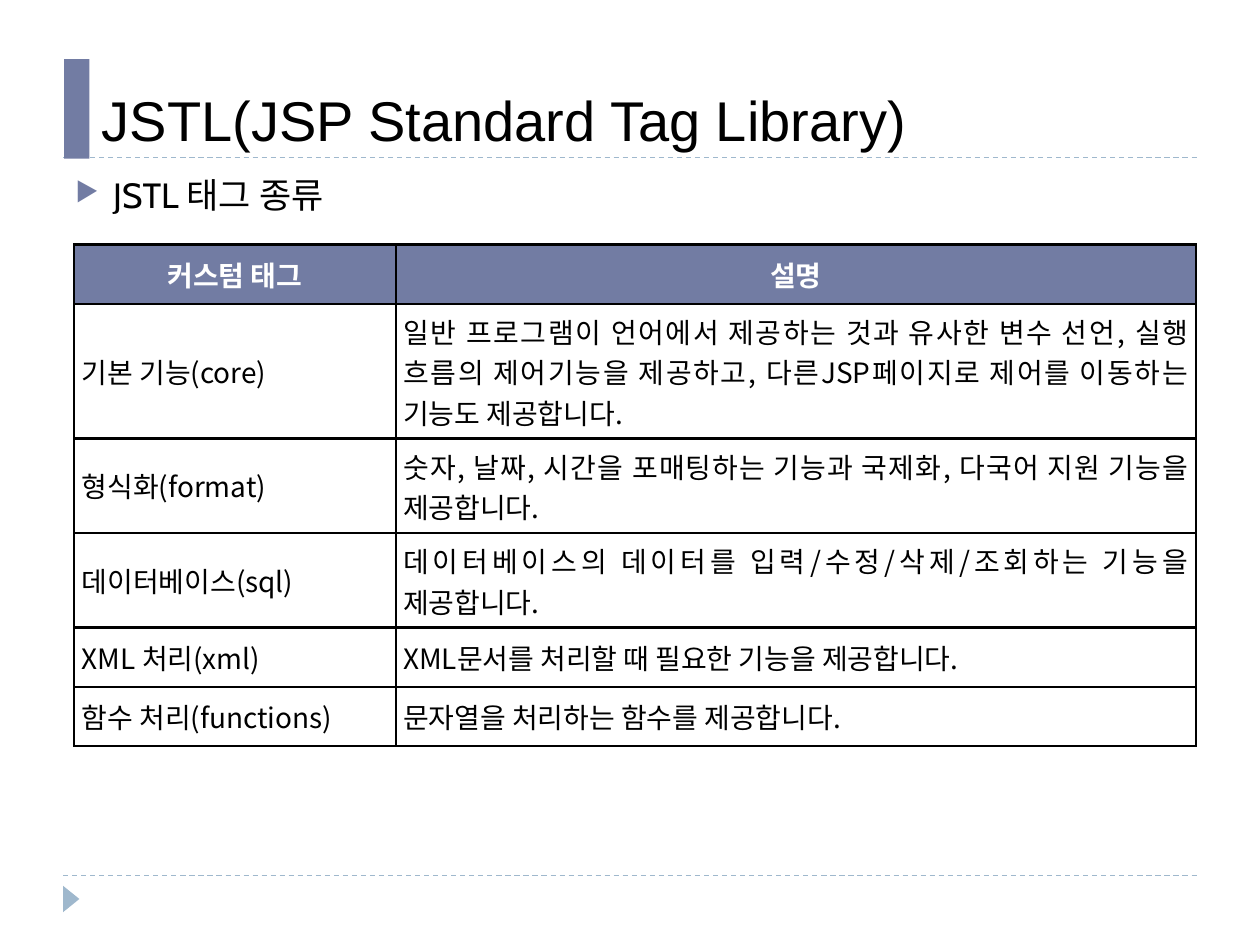
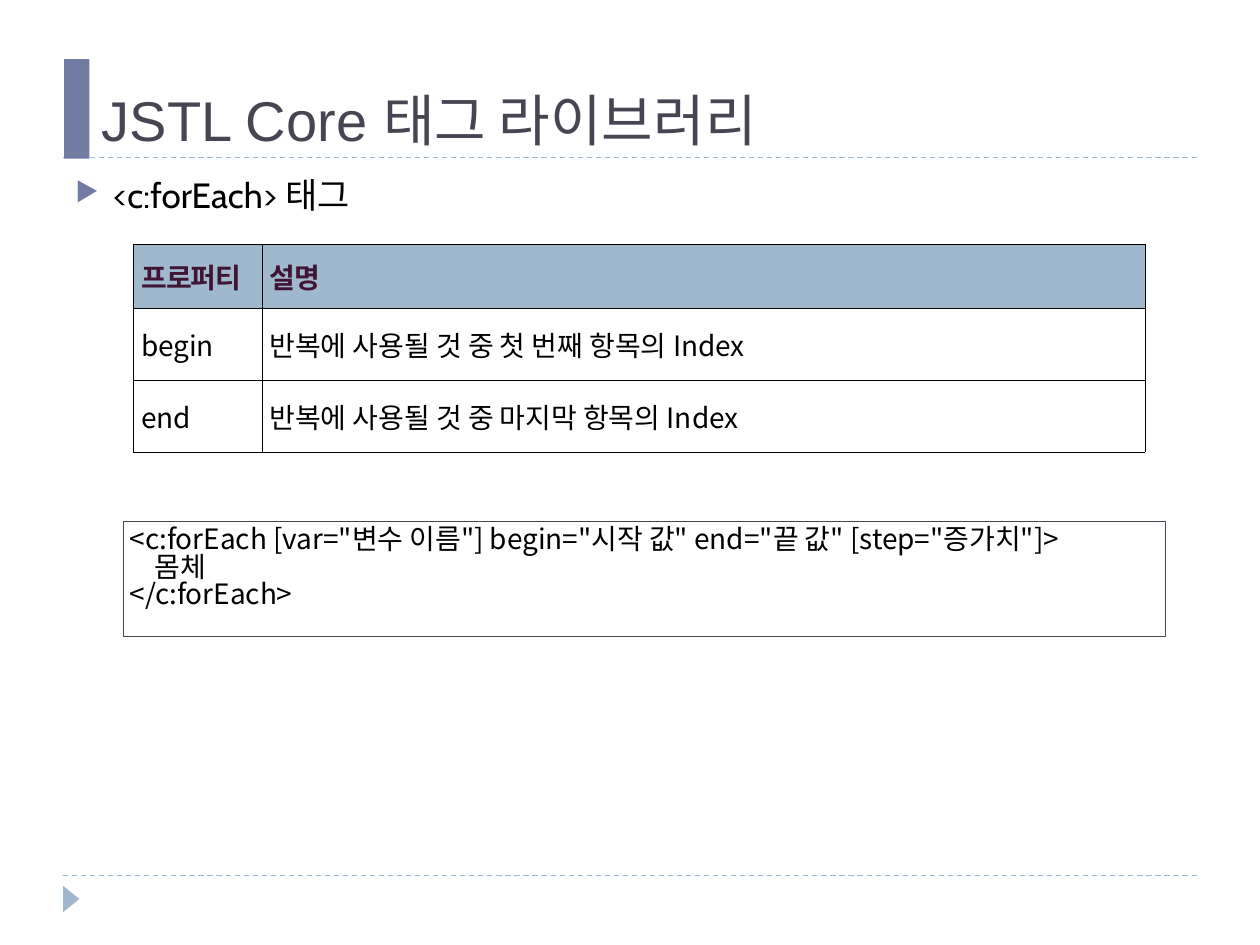
"""Build two slides about JSTL tags."""
from lxml import etree
from pptx import Presentation, util as u
from pptx.dml.color import RGBColor
from pptx.enum import dml, shapes, text
from pptx.oxml.ns import qn

C = {"bar": "727CA3", "accent": "9FB8CD", "dark": "464653",
     "plum": "401433", "black": "000000", "white": "FFFFFF"}
KR = "Noto Sans CJK KR"
LEFT, CENTER, JUSTIFY = text.PP_ALIGN.LEFT, text.PP_ALIGN.CENTER, text.PP_ALIGN.JUSTIFY


def style(p, size, font, color, bold=False, spc=0):
    for r in p.runs:
        r.font.size, r.font.bold = u.Pt(size), bold
        r.font.color.rgb = RGBColor.from_string(C[color])
        r.font.name = font
        rpr = r.font._element
        etree.SubElement(rpr, qn("a:ea")).set("typeface", KR)
        if spc:
            rpr.set("spc", str(spc))


def border(cell, width):
    tcpr = cell._tc.get_or_add_tcPr()
    for i, side in enumerate(("lnL", "lnR", "lnT", "lnB")):
        ln = etree.Element(qn(f"a:{side}"), w=str(u.Pt(width)))
        fill = etree.SubElement(ln, qn("a:solidFill"))
        etree.SubElement(fill, qn("a:srgbClr")).set("val", C["black"])
        tcpr.insert(i, ln)


slides = [
    {"title": "JSTL(JSP Standard Tag Library)", "color": "black", "topic": "JSTL 태그 종류",
     "left": 0.59, "cols": [2.55, 6.35], "rows": [0.47, 1.07, 0.75, 0.75, 0.47, 0.47],
     "border": 1.41, "head": ("bar", "white", CENTER, 0), "align": (LEFT, JUSTIFY),
     "cells": [
         ("커스텀 태그", "설명"),
         ("기본 기능(core)", "일반 프로그램이 언어에서 제공하는 것과 유사한 변수 선언, 실행 흐름의 제어기능을 "
                         "제공하고, 다른JSP페이지로 제어를 이동하는 기능도 제공합니다."),
         ("형식화(format)", "숫자, 날짜, 시간을 포매팅하는 기능과 국제화, 다국어 지원 기능을 제공합니다."),
         ("데이터베이스(sql)", "데이터베이스의 데이터를 입력/수정/삭제/조회하는 기능을 제공합니다."),
         ("XML 처리(xml)", "XML문서를 처리할 때 필요한 기능을 제공합니다."),
         ("함수 처리(functions)", "문자열을 처리하는 함수를 제공합니다.")]},
    {"title": "JSTL Core 태그 라이브러리", "color": "dark", "topic": "<c:forEach> 태그",
     "left": 1.06, "cols": [1.02, 7.01], "rows": [0.51, 0.57, 0.57],
     "border": 0.28, "head": ("accent", "plum", LEFT, -40), "align": (JUSTIFY, JUSTIFY),
     "cells": [
         ("프로퍼티", "설명"),
         ("begin", "반복에 사용될 것 중 첫 번째 항목의 Index"),
         ("end", "반복에 사용될 것 중 마지막 항목의 Index")],
     "code": '<c:forEach [var="변수 이름"] begin="시작 값" end="끝 값" [step="증가치"]>\n'
             "    몸체\n"
             "</c:forEach>"},
]

prs = Presentation()
prs.slide_width, prs.slide_height = u.Inches(10), u.Inches(7.5)

for d in slides:
    s = prs.slides.add_slide(prs.slide_layouts[6])

    for y in (6.95, 1.25):
        rule = s.shapes.add_connector(shapes.MSO_CONNECTOR.STRAIGHT, u.Inches(0.5), u.Inches(y),
                                      u.Inches(9.5), u.Inches(y))
        rule.line.color.rgb = RGBColor.from_string(C["accent"])
        rule.line.width = u.Pt(0.75)
        rule.line.dash_style = dml.MSO_LINE.DASH
        etree.SubElement(rule._element.spPr, qn("a:effectLst"))

    for kind, box, color, turn in (
            (shapes.MSO_SHAPE.ISOSCELES_TRIANGLE, (0.46, 7.07, 0.21, 0.13), "accent", 90),
            (shapes.MSO_SHAPE.RECTANGLE, (0.51, 0.47, 0.2, 0.79), "bar", 0)):
        sp = s.shapes.add_shape(kind, *map(u.Inches, box))
        sp.shadow.inherit = False
        sp.fill.solid()
        sp.fill.fore_color.rgb = RGBColor.from_string(C[color])
        sp.line.fill.background()
        sp.rotation = turn

    tf = s.shapes.add_textbox(*map(u.Inches, (0.71, 0.47, 8.79, 0.79))).text_frame
    tf.word_wrap = True
    tf.vertical_anchor = text.MSO_ANCHOR.BOTTOM
    tf.text = d["title"]
    style(tf.paragraphs[0], 32, "Arial", d["color"])

    tf = s.shapes.add_textbox(*map(u.Inches, (0.5, 1.33, 9, 5.4))).text_frame
    tf.word_wrap = True
    tf.text = d["topic"]
    p = tf.paragraphs[0]
    ppr = p._p.get_or_add_pPr()
    ppr.set("marL", str(u.Inches(0.3)))
    ppr.set("indent", str(u.Inches(-0.3)))
    bullet_color = etree.SubElement(ppr, qn("a:buClr"))
    etree.SubElement(bullet_color, qn("a:srgbClr")).set("val", C["bar"])
    etree.SubElement(ppr, qn("a:buSzPct")).set("val", "76000")
    etree.SubElement(ppr, qn("a:buChar")).set("char", "▶")
    style(p, 20, "Cabin", "black")

    tbl = s.shapes.add_table(len(d["rows"]), 2, u.Inches(d["left"]), u.Inches(1.94),
                             u.Inches(sum(d["cols"])), u.Inches(sum(d["rows"]))).table
    tbl.first_row = tbl.horz_banding = False
    for col, width in zip(tbl.columns, d["cols"]):
        col.width = u.Inches(width)
    fill, head_color, head_align, spc = d["head"]
    for i, (height, row) in enumerate(zip(d["rows"], d["cells"])):
        tbl.rows[i].height = u.Inches(height)
        for j, words in enumerate(row):
            cell = tbl.cell(i, j)
            cell.text = words
            cell.vertical_anchor = text.MSO_ANCHOR.MIDDLE
            cell.margin_left = cell.margin_right = u.Inches(0.06)
            cell.margin_top = cell.margin_bottom = u.Inches(0.06)
            p = cell.text_frame.paragraphs[0]
            if i == 0:
                cell.fill.solid()
                cell.fill.fore_color.rgb = RGBColor.from_string(C[fill])
                p.alignment = head_align
                style(p, 16, KR, head_color, True, spc)
            else:
                cell.fill.background()
                p.alignment = d["align"][j]
                style(p, 16, KR, "black")
            border(cell, d["border"])

    if "code" in d:
        sp = s.shapes.add_shape(shapes.MSO_SHAPE.RECTANGLE,
                                *map(u.Inches, (0.98, 4.14, 8.27, 0.91)))
        sp.shadow.inherit = False
        sp.fill.background()
        sp.line.color.rgb = RGBColor.from_string(C["dark"])
        sp.line.width = u.Pt(0.75)
        tf = sp.text_frame
        tf.word_wrap = True
        tf.vertical_anchor = text.MSO_ANCHOR.TOP
        tf.margin_left = tf.margin_right = tf.margin_top = tf.margin_bottom = u.Inches(0.05)
        tf.text = d["code"]
        for p in tf.paragraphs:
            p.alignment = LEFT
            p.line_spacing = 0.82
            style(p, 16, KR, "black")

prs.save("out.pptx")
